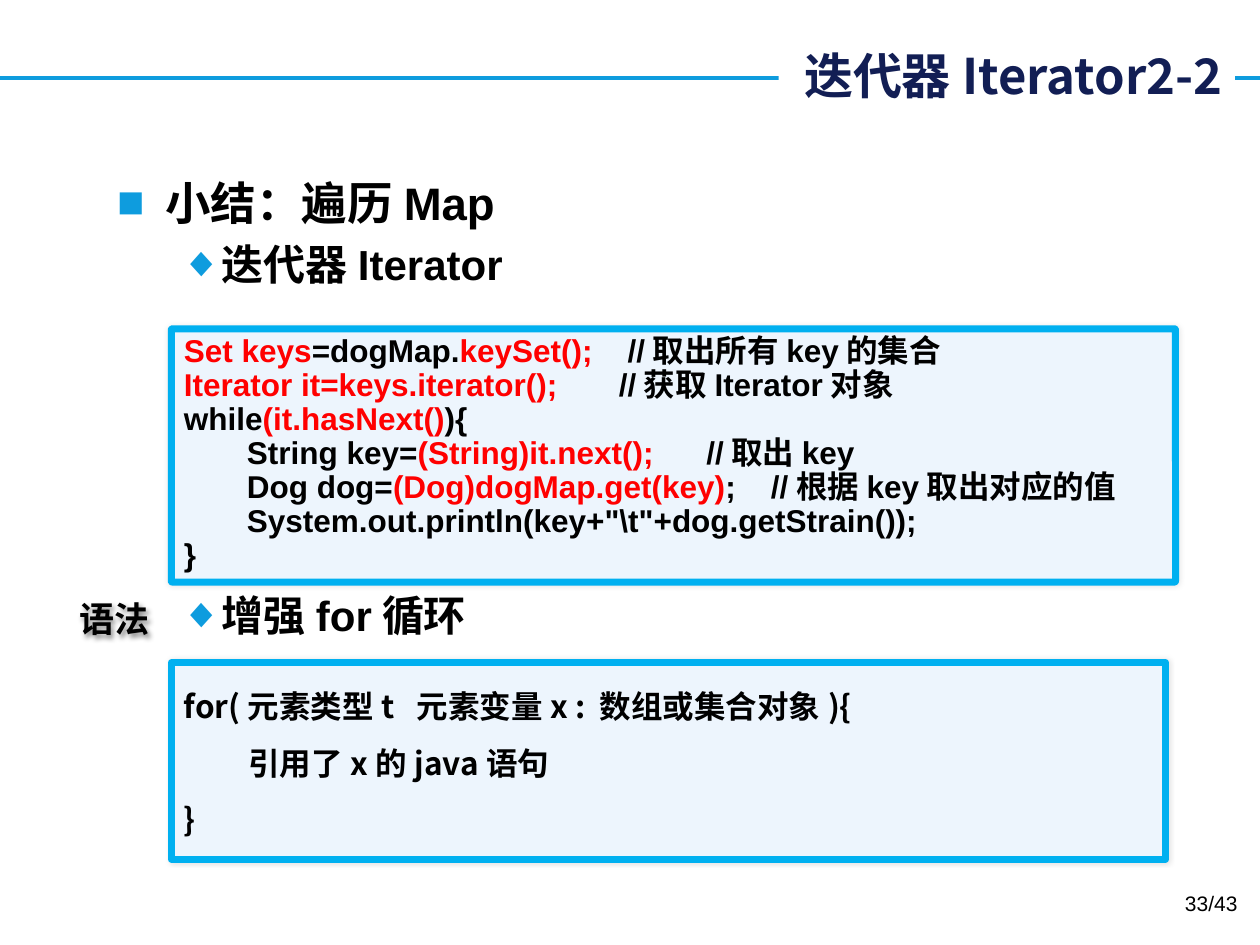
from dataclasses import dataclass

from lxml.etree import SubElement
from pptx import Presentation
from pptx.dml.color import RGBColor
from pptx.enum.shapes import MSO_CONNECTOR as Connector, MSO_SHAPE as Shape
from pptx.enum.text import MSO_ANCHOR as Anchor, MSO_AUTO_SIZE as AutoSize, PP_ALIGN as Align
from pptx.oxml.ns import qn
from pptx.util import Inches, Pt

COLORS = {
    "rule": "0E9CDE",
    "title": "121E54",
    "border": "00B0F0",
    "panel": "EDF5FD",
    "white": "FFFFFF",
    "black": "000000",
    "red": "FF0000",
}
LATIN = "Arial"
CJK = "Noto Sans CJK SC"


@dataclass
class Panel:
    left: float
    top: float
    width: float
    height: float
    rounding: float
    font: str
    pitch: float
    lines: list[list[tuple[str, str]]]


@dataclass
class Point:
    text: str
    bullet: str
    size: float
    margin: float
    hanging: float
    pitch: float
    before: float
    level: int


PANELS = [
    Panel(1.36, 2.61, 7.97, 2.01, 0.004, LATIN, 19.4, [
        [("Set keys", "red"), ("=dogMap.", "black"), ("keySet();    ", "red"),
         ("//取出所有key的集合", "black")],
        [("Iterator it=keys.iterator();       ", "red"), ("//获取Iterator对象", "black")],
        [("while", "black"), ("(it.hasNext()", "red"), ("){", "black")],
        [("\tString key=", "black"), ("(String)it.next();      ", "red"), ("//取出key", "black")],
        [("\tDog dog=", "black"), ("(Dog)dogMap.get(key)", "red"),
         (";    //根据key取出对应的值", "black")],
        [("\tSystem.out.println(key+\"\\t\"+dog.getStrain());", "black")],
        [("}", "black")],
    ]),
    Panel(1.36, 5.26, 7.89, 1.56, 0, CJK, 32.2, [
        [("for(元素类型t  元素变量x : 数组或集合对象){", "black")],
        [("         引用了x的java语句", "black")],
        [("}", "black")],
    ]),
]
POINTS = [
    Point("小结：遍历Map", "■", 26, 0.38, -0.38, 33, 0, 0),
    Point("迭代器Iterator", "◆", 24, 0.81, -0.31, 29.6, 4.8, 1),
    Point("增强for循环", "◆", 24, 0.81, -0.31, 29.6, 171, 1),
]


def rgb(name: str) -> RGBColor:
    return RGBColor.from_string(COLORS[name])


def place(shape, left: float, top: float, width: float, height: float) -> None:
    shape.left, shape.top = Inches(left), Inches(top)
    shape.width, shape.height = Inches(width), Inches(height)


def style(run, size: float, font: str, color: str = "black", bold: bool = True) -> None:
    run.font.size = Pt(size)
    run.font.bold = bold
    run.font.name = font
    run.font.color.rgb = rgb(color)
    latin = run.font._element.find(qn("a:latin"))
    east_asian = SubElement(run.font._element, qn("a:ea"), typeface=CJK)
    latin.addnext(east_asian)


def add_shadow(shape, blur: float, distance: float, opacity: int) -> None:
    shape.shadow.inherit = False
    effects = shape._element.spPr.find(qn("a:effectLst"))
    outer = SubElement(effects, qn("a:outerShdw"), blurRad=str(Pt(blur)),
                       dist=str(Pt(distance)), dir="2700000", algn="ctr", rotWithShape="0")
    tint = SubElement(outer, qn("a:srgbClr"), val=COLORS["black"])
    SubElement(tint, qn("a:alpha"), val=str(opacity * 1000))


def add_rule(slide) -> None:
    rule = slide.shapes.add_connector(Connector.STRAIGHT, 0, Inches(0.62), Inches(10), Inches(0.62))
    rule.line.color.rgb = rgb("rule")
    rule.line.width = Pt(2.25)
    SubElement(rule._element.spPr, qn("a:effectLst"))
    slide.shapes._spTree.insert(2, rule._element)


def fill_title(title) -> None:
    place(title, 6.18, 0.31, 3.62, 0.57)
    title.fill.solid()
    title.fill.fore_color.rgb = rgb("white")
    frame = title.text_frame
    frame.text = "迭代器Iterator2-2"
    frame.auto_size = AutoSize.NONE
    frame.vertical_anchor = Anchor.MIDDLE
    heading = frame.paragraphs[0]
    heading.alignment = Align.RIGHT
    style(heading.runs[0], 28, CJK, "title")


def fill_points(body) -> None:
    place(body, 0.83, 1.31, 8.36, 5.63)
    frame = body.text_frame
    frame.text = "\n".join(point.text for point in POINTS)
    frame.auto_size = AutoSize.NONE
    for paragraph, point in zip(frame.paragraphs, POINTS):
        paragraph.level = point.level
        props = paragraph._p.get_or_add_pPr()
        props.set("marL", str(Inches(point.margin)))
        props.set("indent", str(Inches(point.hanging)))
        bullet_color = SubElement(props, qn("a:buClr"))
        SubElement(bullet_color, qn("a:srgbClr"), val=COLORS["rule"])
        SubElement(props, qn("a:buFont"), typeface=LATIN)
        SubElement(props, qn("a:buChar"), char=point.bullet)
        paragraph.line_spacing = Pt(point.pitch)
        paragraph.space_before = Pt(point.before)
        style(paragraph.runs[0], point.size, LATIN)


def add_panel(slide, panel: Panel) -> None:
    box = slide.shapes.add_shape(Shape.ROUNDED_RECTANGLE, 0, 0, 0, 0)
    place(box, panel.left, panel.top, panel.width, panel.height)
    box.adjustments[0] = panel.rounding
    box.fill.solid()
    box.fill.fore_color.rgb = rgb("panel")
    box.line.color.rgb = rgb("border")
    box.line.width = Pt(4)
    add_shadow(box, 3, 0, 10)
    frame = box.text_frame
    frame.word_wrap = True
    frame.vertical_anchor = Anchor.TOP
    for index, line in enumerate(panel.lines):
        paragraph = frame.add_paragraph() if index else frame.paragraphs[0]
        tabs = SubElement(paragraph._p.get_or_add_pPr(), qn("a:tabLst"))
        SubElement(tabs, qn("a:tab"), pos=str(Inches(0.5)), algn="l")
        paragraph.alignment = Align.LEFT
        paragraph.line_spacing = Pt(panel.pitch)
        for text, color in line:
            run = paragraph.add_run()
            run.text = text
            style(run, 18, panel.font, color)


def add_label(slide, text: str, left: float, top: float, width: float, height: float,
              size: float, font: str, bold: bool, align: Align, anchor: Anchor):
    label = slide.shapes.add_textbox(0, 0, 0, 0)
    place(label, left, top, width, height)
    frame = label.text_frame
    frame.text = text
    frame.vertical_anchor = anchor
    frame.paragraphs[0].alignment = align
    style(frame.paragraphs[0].runs[0], size, font, bold=bold)
    return label


def main() -> None:
    deck = Presentation()
    deck.slide_width, deck.slide_height = Inches(10), Inches(7.5)
    slide = deck.slides.add_slide(deck.slide_layouts[1])
    add_rule(slide)
    fill_title(slide.shapes.title)
    fill_points(slide.placeholders[1])
    for panel in PANELS:
        add_panel(slide, panel)
    syntax = add_label(slide, "语法", 0.53, 4.69, 0.77, 0.44, 20, CJK, True,
                       Align.LEFT, Anchor.MIDDLE)
    add_shadow(syntax, 3, 2, 45)
    page = add_label(slide, "33/43", 7.59, 7.02, 2.33, 0.4, 12, LATIN, False,
                     Align.RIGHT, Anchor.TOP)
    page.text_frame.word_wrap = True
    deck.save("out.pptx")


if __name__ == "__main__":
    main()
